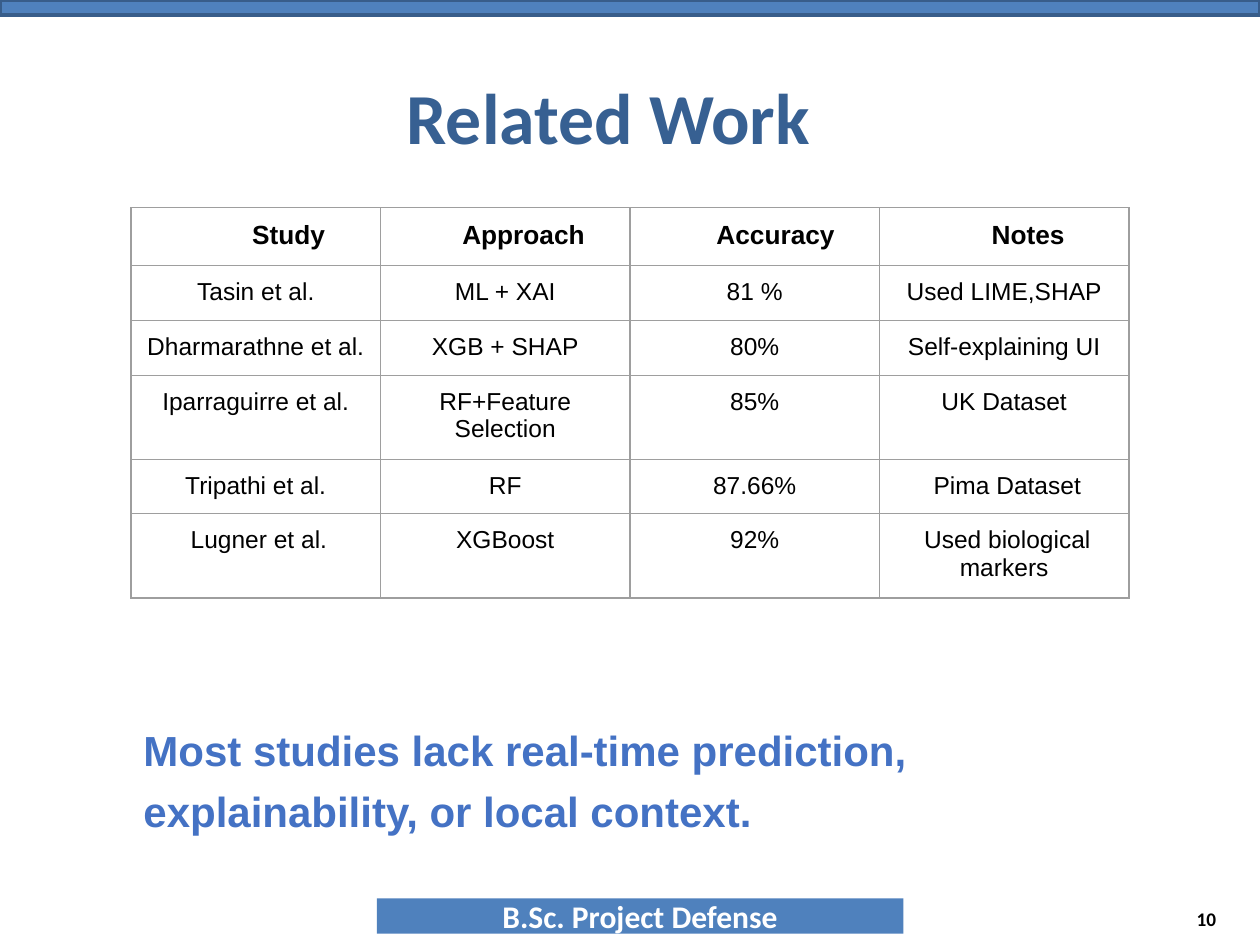
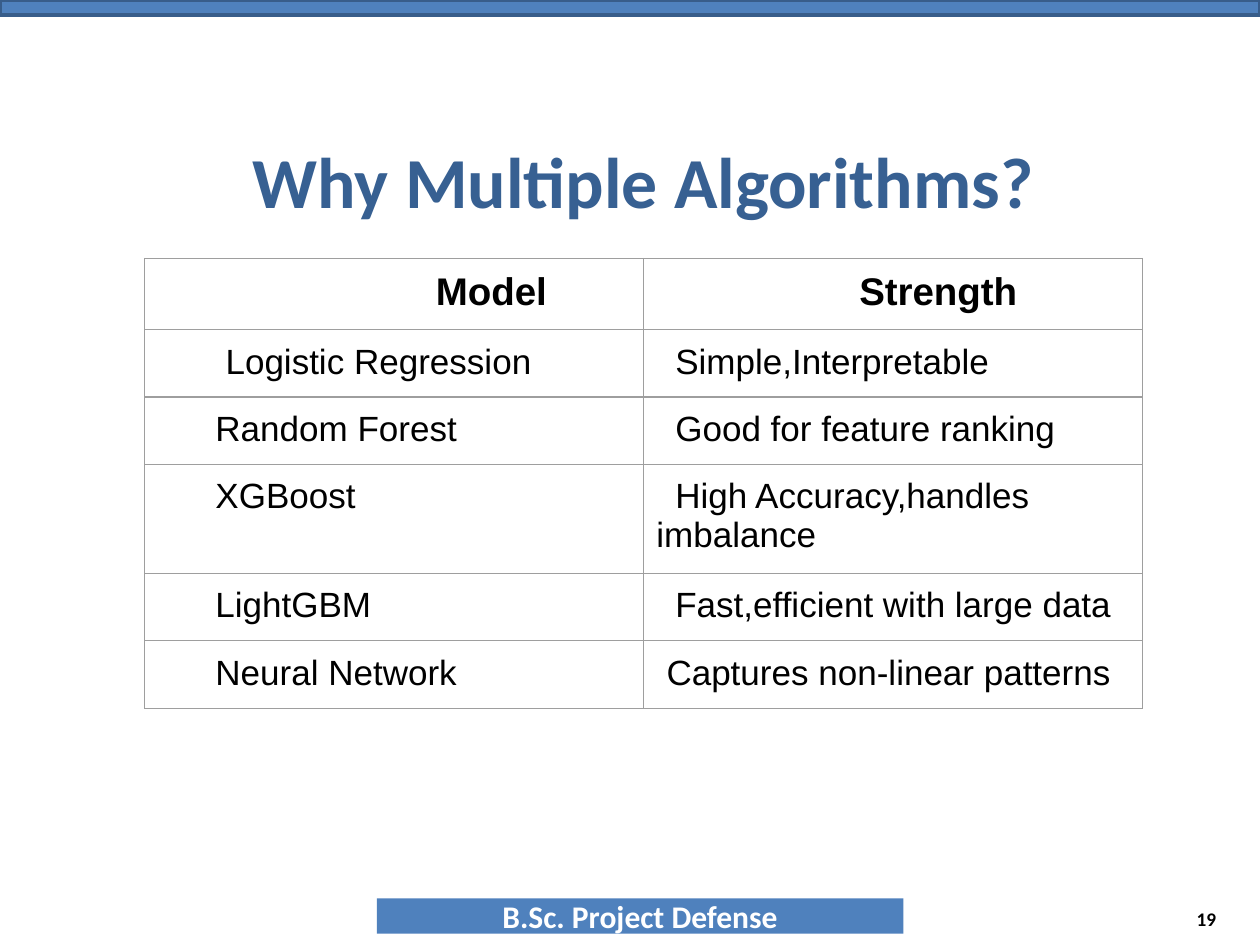
from lxml import etree
from pptx import Presentation
from pptx.dml.color import RGBColor
from pptx.enum.shapes import MSO_SHAPE
from pptx.enum.text import MSO_ANCHOR, PP_ALIGN
from pptx.oxml.ns import qn
from pptx.util import Inches, Pt

RECTANGLE = MSO_SHAPE.RECTANGLE
TOP, MIDDLE = MSO_ANCHOR.TOP, MSO_ANCHOR.MIDDLE
LEFT, CENTER, RIGHT = PP_ALIGN.LEFT, PP_ALIGN.CENTER, PP_ALIGN.RIGHT

BAND_BLUE = RGBColor(0x4F, 0x81, 0xBD)
BAND_EDGE = RGBColor(0x38, 0x5D, 0x8A)
TITLE_BLUE = RGBColor(0x37, 0x60, 0x92)
REMARK_BLUE = RGBColor(0x44, 0x72, 0xC4)
GRID_GRAY = RGBColor(0x9E, 0x9E, 0x9E)
BLACK = RGBColor(0, 0, 0)
WHITE = RGBColor(0xFF, 0xFF, 0xFF)

TABLE_WIDTH = 7.92
CELL_INSET = Inches(0.1)

# Indents are first-line indents in inches, keyed by (row, column).
SLIDES = [
    {
        "title": "Related Work", "title_at": (0.33, 0.29), "number": "10",
        "table_at": (1.04, 1.65), "align": CENTER, "sizes": (15, 14),
        "row_heights": (0.46, 0.42, 0.42, 0.64, 0.42, 0.64),
        "rows": [
            ("Study", "Approach", "Accuracy", "Notes"),
            ("Tasin et al.", "ML + XAI", "81 %", "Used LIME,SHAP"),
            ("Dharmarathne et al.", "XGB + SHAP", "80%", "Self-explaining UI"),
            ("Iparraguirre et al.", "RF+Feature Selection", "85%", "UK Dataset"),
            ("Tripathi et al.", "RF", "87.66%", "Pima Dataset"),
            ("Lugner et al.", "XGBoost", "92%", "Used biological markers"),
        ],
        "indents": {(0, 0): 0.52, (0, 1): 0.29, (0, 2): 0.33, (0, 3): 0.38,
                    (4, 3): 0.05, (5, 0): 0.05, (5, 3): 0.05},
        "remark": ("Most studies lack real-time prediction,",
                   "explainability, or local context."),
    },
    {
        "title": "Why Multiple Algorithms?", "title_at": (0.61, 0.8), "number": "19",
        "table_at": (1.15, 2.05), "align": LEFT, "sizes": (22, 20),
        "row_heights": (0.54, 0.51, 0.51, 0.82, 0.51, 0.51),
        "rows": [
            ("Model", "Strength"),
            ("Logistic Regression", "Simple,Interpretable"),
            ("Random Forest", "Good for feature ranking"),
            ("XGBoost", "High Accuracy,handles imbalance"),
            ("LightGBM", "Fast,efficient with large data"),
            ("Neural Network", "Captures non-linear patterns"),
        ],
        "indents": {(0, 0): 2.21, (0, 1): 1.61, (1, 0): 0.54, (1, 1): 0.15,
                    (2, 0): 0.46, (2, 1): 0.15, (3, 0): 0.46, (3, 1): 0.15,
                    (4, 0): 0.46, (4, 1): 0.15, (5, 0): 0.46, (5, 1): 0.08},
        "remark": (),
    },
]


def write_text(text_frame, lines, size, color, align, font="Calibri", bold=True, anchor=MIDDLE):
    text_frame.word_wrap = True
    text_frame.vertical_anchor = anchor
    text_frame.text = "\n".join(lines)
    for paragraph in text_frame.paragraphs:
        paragraph.alignment = align
        for run in paragraph.runs:
            run.font.name = font
            run.font.size = Pt(size)
            run.font.bold = bold
            run.font.color.rgb = color


def add_borders(cell):
    properties = cell._tc.get_or_add_tcPr()
    for side in ("a:lnL", "a:lnR", "a:lnT", "a:lnB"):
        line = etree.SubElement(properties, qn(side), w=str(Pt(0.75)))
        fill = etree.SubElement(line, qn("a:solidFill"))
        etree.SubElement(fill, qn("a:srgbClr"), val=str(GRID_GRAY))


presentation = Presentation()
presentation.slide_width = Inches(10)
presentation.slide_height = Inches(7.5)
blank_layout = presentation.slide_layouts[6]

for content in SLIDES:
    slide = presentation.slides.add_slide(blank_layout)
    shapes = slide.shapes

    # Bands, title and slide number
    footer = shapes.add_shape(RECTANGLE, Inches(2.99), Inches(7.13), Inches(4.18), Inches(0.28))
    top_band = shapes.add_shape(RECTANGLE, 0, 0, Inches(10), Inches(0.12))
    for band in (footer, top_band):
        band.shadow.inherit = False
        band.fill.solid()
        band.fill.fore_color.rgb = BAND_BLUE
    footer.line.fill.background()
    top_band.line.color.rgb = BAND_EDGE
    top_band.line.width = Pt(2)
    write_text(footer.text_frame, ["B.Sc. Project Defense"], 18, WHITE, CENTER)

    title_left, title_top = content["title_at"]
    title = shapes.add_textbox(Inches(title_left), Inches(title_top), Inches(9), Inches(1.25))
    write_text(title.text_frame, [content["title"]], 41, TITLE_BLUE, CENTER)

    number = shapes.add_textbox(Inches(7.42), Inches(7.09), Inches(2.33), Inches(0.4))
    write_text(number.text_frame, [content["number"]], 11, BLACK, RIGHT)

    # Table
    rows = content["rows"]
    column_count = len(rows[0])
    table_left, table_top = content["table_at"]
    table = shapes.add_table(len(rows), column_count, Inches(table_left), Inches(table_top),
                             Inches(TABLE_WIDTH), Inches(sum(content["row_heights"]))).table
    table.first_row = False
    table.horz_banding = False
    for column in table.columns:
        column.width = Inches(TABLE_WIDTH / column_count)
    header_size, body_size = content["sizes"]
    for row_index, row in enumerate(rows):
        table.rows[row_index].height = Inches(content["row_heights"][row_index])
        is_header = row_index == 0
        for column_index, value in enumerate(row):
            cell = table.cell(row_index, column_index)
            cell.margin_left = cell.margin_right = CELL_INSET
            cell.margin_top = cell.margin_bottom = CELL_INSET
            add_borders(cell)
            cell.fill.background()
            write_text(cell.text_frame, [value], header_size if is_header else body_size,
                       BLACK, content["align"], "Arial", is_header, TOP)
            indent = content["indents"].get((row_index, column_index), 0)
            paragraph_properties = cell.text_frame.paragraphs[0]._p.get_or_add_pPr()
            paragraph_properties.set("marL", "0")
            paragraph_properties.set("indent", str(Inches(indent)))

    # Closing remark
    if content["remark"]:
        remark = shapes.add_textbox(Inches(1.04), Inches(5.65), Inches(7.15), Inches(0.83))
        remark.text_frame.margin_top = remark.text_frame.margin_bottom = Inches(0.1)
        write_text(remark.text_frame, content["remark"], 24, REMARK_BLUE, LEFT, "Arial", anchor=TOP)
        for paragraph in remark.text_frame.paragraphs[1:]:
            paragraph.space_before = Pt(6)

presentation.save("out.pptx")
